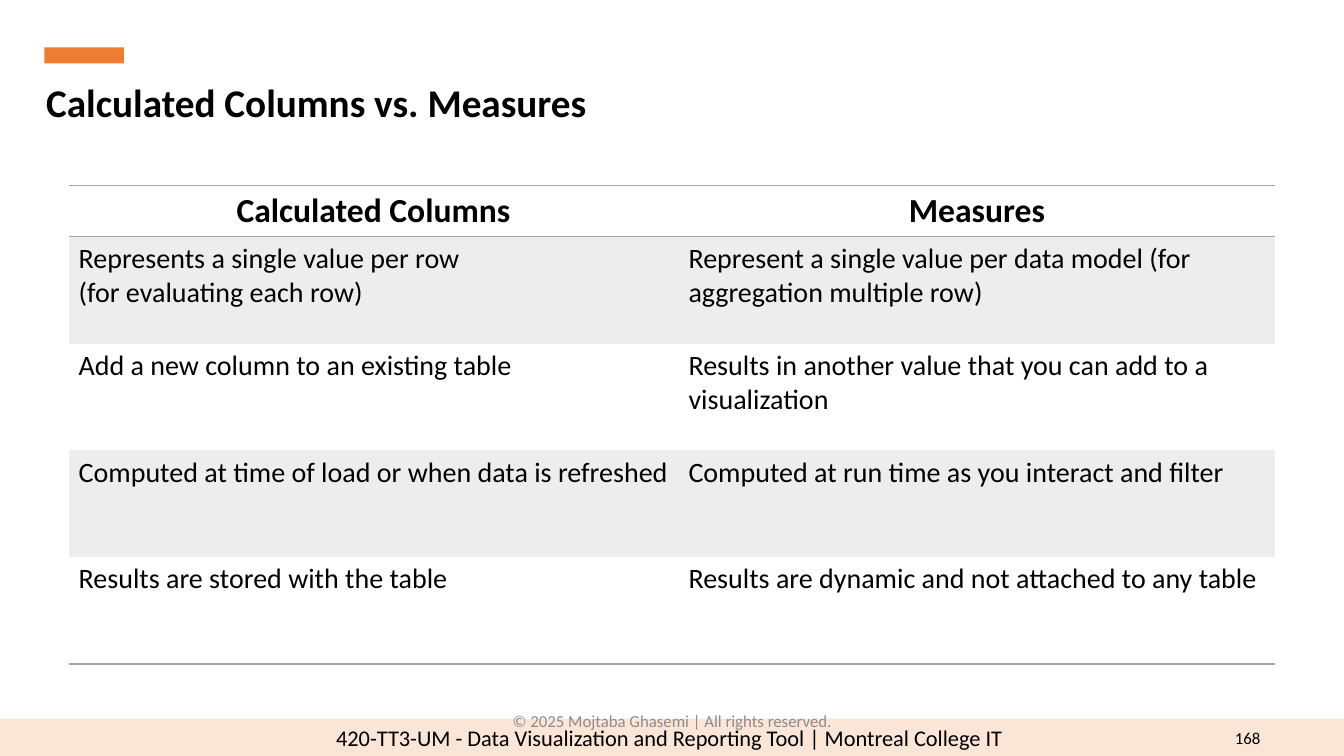
from lxml import etree
from pptx import Presentation
from pptx.dml.color import RGBColor
from pptx.enum.shapes import MSO_SHAPE
from pptx.enum.text import MSO_ANCHOR, PP_ALIGN
from pptx.oxml.ns import qn
from pptx.util import Inches, Pt

RECTANGLE = MSO_SHAPE.RECTANGLE
TOP, MIDDLE = MSO_ANCHOR.TOP, MSO_ANCHOR.MIDDLE
LEFT, CENTER, RIGHT = PP_ALIGN.LEFT, PP_ALIGN.CENTER, PP_ALIGN.RIGHT
COLORS = {"accent": "ED7D31", "footer": "FBE5D6", "ink": "000000",
          "muted": "8C8C8C", "rule": "A5A5A5", "stripe": "EDEDED"}

deck = Presentation()
deck.slide_width, deck.slide_height = Inches(13.33), Inches(7.5)
slide = deck.slides.add_slide(deck.slide_layouts[6])


def place(left, top, width, height):
    across, down = deck.slide_width / 100, deck.slide_height / 100
    return (round(left * across), round(top * down),
            round(width * across), round(height * down))


def write(frame, lines, size, align, color="ink", bold=False):
    frame.word_wrap = True
    for number, line in enumerate(lines):
        paragraph = frame.add_paragraph() if number else frame.paragraphs[0]
        paragraph.alignment = align
        run = paragraph.add_run()
        run.text = line
        for name, value in {"name": "Calibri", "size": Pt(size), "bold": bold}.items():
            setattr(run.font, name, value)
        run.font.color.rgb = RGBColor.from_string(COLORS[color])


bars = []
for color, area in [("footer", (0, 95.07, 100, 4.93)),
                    ("accent", (3.3, 6.27, 5.93, 2.13))]:
    bar = slide.shapes.add_shape(RECTANGLE, *place(*area))
    bar.shadow.inherit = False
    bar.fill.solid()
    bar.fill.fore_color.rgb = RGBColor.from_string(COLORS[color])
    bar.line.fill.background()
    bars.append(bar)
course = bars[0].text_frame
course.vertical_anchor = TOP
write(course, ["420-TT3-UM - Data Visualization and Reporting Tool | Montreal College IT "],
      16, CENTER)

labels = [
    ("168", (91.07, 94.93, 3.45, 5.33), MIDDLE, 12, RIGHT, "ink", False),
    ("Calculated Columns vs. Measures", (2.7, 9.73, 85.9, 7.6), TOP, 28, LEFT, "ink", True),
]
copyright_line = ("© 2025 Mojtaba Ghasemi | All rights reserved.",
                  (33.15, 92.67, 33.75, 5.33), MIDDLE, 12, CENTER, "muted", False)

comparison = [
    (["Calculated Columns"], ["Measures"]),
    (["Represents a single value per row", "(for evaluating each row)"],
     ["Represent a single value per data model (for aggregation multiple row)"]),
    (["Add a new column to an existing table"],
     ["Results in another value that you can add to a visualization"]),
    (["Computed at time of load or when data is refreshed"],
     ["Computed at run time as you interact and filter"]),
    (["Results are stored with the table"],
     ["Results are dynamic and not attached to any table"]),
]
last = len(comparison) - 1
table = slide.shapes.add_table(len(comparison), 2, *place(5.1, 24.53, 89.8, 63.33)).table
table.first_row = table.horz_banding = False
for column, share in zip(table.columns, (45.38, 44.42)):
    column.width = round(deck.slide_width * share / 100)

for index, (row, texts) in enumerate(zip(table.rows, comparison)):
    header = index == 0
    row.height = round(deck.slide_height * (6.8 if header else 14.13) / 100)
    ruled = {"lnL": False, "lnR": False, "lnT": index in (0, 1), "lnB": index in (0, last)}
    for cell, lines in zip(row.cells, texts):
        properties = cell._tc.get_or_add_tcPr()
        for side, visible in ruled.items():
            edge = etree.SubElement(properties, qn(f"a:{side}"), w=str(Pt(1)))
            if visible:
                paint = etree.SubElement(edge, qn("a:solidFill"))
                etree.SubElement(paint, qn("a:srgbClr"), val=COLORS["rule"])
            else:
                etree.SubElement(edge, qn("a:noFill"))
        if index % 2:
            cell.fill.solid()
            cell.fill.fore_color.rgb = RGBColor.from_string(COLORS["stripe"])
        else:
            cell.fill.background()
        write(cell.text_frame, lines, 24 if header else 20,
              CENTER if header else LEFT, bold=header)

for text, area, anchor, *style in labels + [copyright_line]:
    frame = slide.shapes.add_textbox(*place(*area)).text_frame
    frame.vertical_anchor = anchor
    write(frame, [text], *style)

deck.save("out.pptx")
